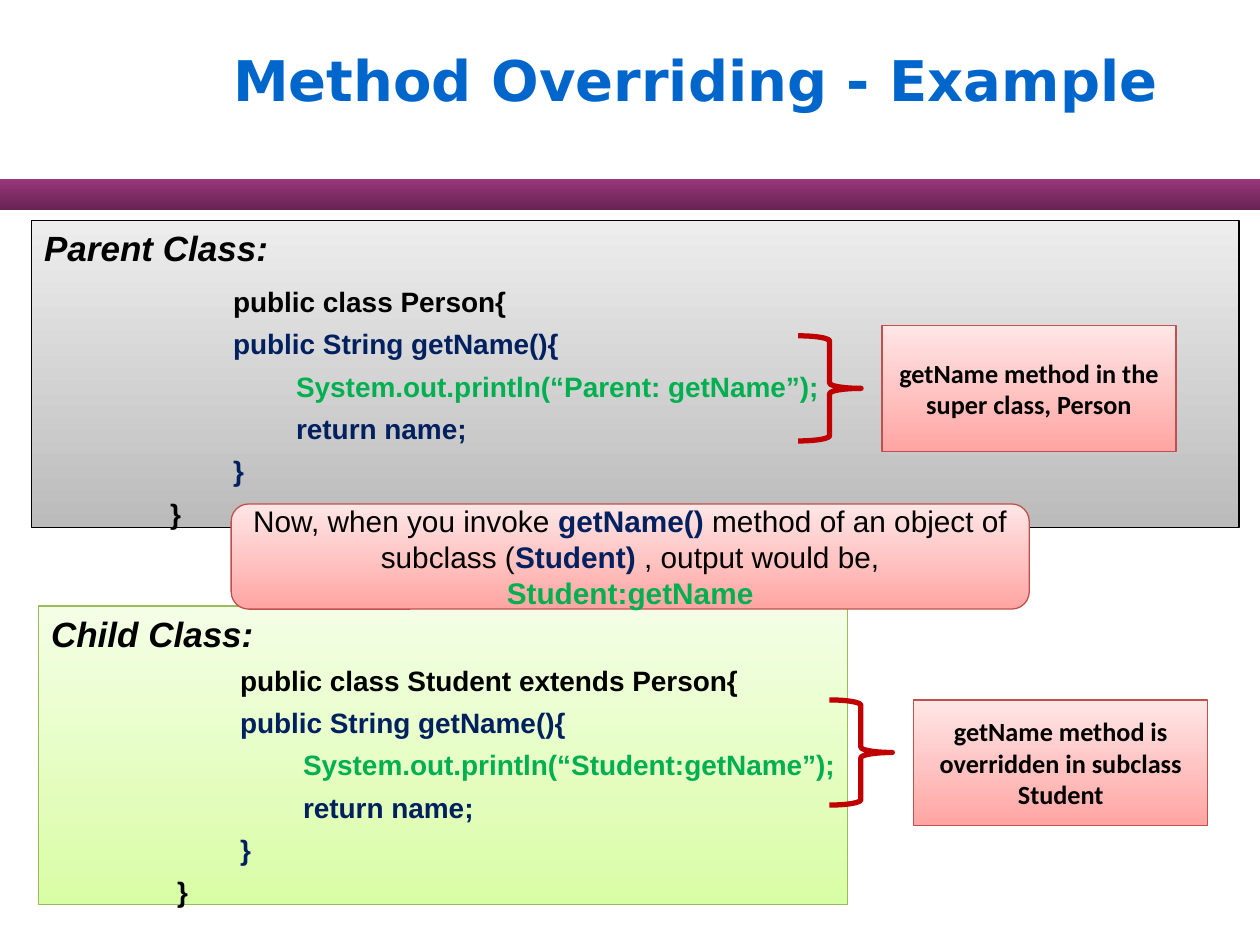
from pptx import Presentation
from pptx.dml.color import RGBColor
from pptx.enum.shapes import MSO_SHAPE
from pptx.enum.text import MSO_ANCHOR, PP_ALIGN
from pptx.util import Cm, Pt

RECT, ROUNDED, BRACE = (MSO_SHAPE.RECTANGLE, MSO_SHAPE.ROUNDED_RECTANGLE,
                        MSO_SHAPE.RIGHT_BRACE)
TOP, MIDDLE = MSO_ANCHOR.TOP, MSO_ANCHOR.MIDDLE
LEFT, CENTER = PP_ALIGN.LEFT, PP_ALIGN.CENTER

COLORS = {
    "black": "000000", "navy": "002060", "green": "00B050", "title": "0066CC",
    "brace": "C00000", "note line": "C0504D", "child line": "9BBB59",
}
# Bottom and top colour of each gradient
GRADIENTS = {
    "band": ("682252", "99387B"),
    "parent": ("BBBBBB", "EDEDED"),
    "child": ("D9FDA5", "F4FEE6"),
    "note": ("FFA5A3", "FFE6E6"),
}

# Boxes are left, top, width, height in cm
TITLE = ("Method Overriding - Example", (4.45, 0, 20.95, 3.18))
BAND = (0, 3.6, 25.4, 0.64)
CLASSES = [
    {"heading": "Child Class:", "declaration": "public class Student extends Person{",
     "output": "System.out.println(“Student:getName”);", "gap": 5, "wrap": False,
     "style": "child", "line": "child line", "box": (0.78, 12.22, 16.31, 6.02)},
    {"heading": "Parent Class:", "declaration": "public class Person{",
     "output": "System.out.println(“Parent: getName”);", "gap": 9, "wrap": True,
     "style": "parent", "line": "black", "box": (0.64, 4.45, 24.34, 6.19)},
]
NOTES = [
    ("getName method in the super class, Person",
     (17.78, 6.56, 5.93, 2.54), (16.09, 6.77)),
    ("getName method is overridden in subclass Student",
     (18.42, 14.11, 5.93, 2.54), (16.72, 14.11)),
]
BRACE_SIZE = (1.27, 2.12)
RESULT_BOX = (4.66, 10.16, 16.09, 2.12)
RESULT = [
    [("Now, when you invoke ", {}),
     ("getName() ", {"color": "navy", "bold": True}),
     ("method of an object of subclass (", {}),
     ("Student) ", {"color": "navy", "bold": True}),
     (", output would be,", {})],
    [("Student:getName", {"color": "green", "bold": True})],
]
INDENT = 1.27


def rgb(value):
    return RGBColor.from_string(value)


def add_shape(kind, box, gradient=None, line=None, line_width=0.75):
    shape = slide.shapes.add_shape(kind, *map(Cm, box))
    shape.shadow.inherit = False
    if gradient:
        shape.fill.gradient()
        shape.fill.gradient_angle = 90
        for stop, color, position in zip(shape.fill.gradient_stops,
                                         GRADIENTS[gradient], (0, 1)):
            stop.color.rgb = rgb(color)
            stop.position = position
    else:
        shape.fill.background()
    if line:
        shape.line.color.rgb = rgb(COLORS[line])
        shape.line.width = Pt(line_width)
    else:
        shape.line.fill.background()
    return shape


def set_frame(shape, anchor=MIDDLE, wrap=True):
    frame = shape.text_frame
    frame.word_wrap = wrap
    frame.vertical_anchor = anchor
    return frame


def write(frame, text, size=16, font="Arial", color="black", bold=False,
          italic=False, align=LEFT, level=0, before=0, new=True):
    """Write a run, in a new paragraph or at the end of the last one."""
    paragraph = frame.paragraphs[-1]
    if new:
        if paragraph.runs:
            paragraph = frame.add_paragraph()
        paragraph.alignment = align
        paragraph.space_before = Pt(before)
        if level:
            properties = paragraph._p.get_or_add_pPr()
            properties.set("marL", str(Cm(level * INDENT)))
            properties.set("indent", "0")
    run = paragraph.add_run()
    run.text = text
    run.font.name = font
    run.font.size = Pt(size)
    run.font.bold = bold
    run.font.italic = italic
    run.font.color.rgb = rgb(COLORS[color])


def add_class(item):
    shape = add_shape(RECT, item["box"], item["style"], item["line"])
    frame = set_frame(shape, TOP, item["wrap"])
    write(frame, item["heading"], size=20, bold=True, italic=True)
    code = [
        (item["declaration"], 3, "black", item["gap"]),
        ("public String getName(){", 3, "navy", 5),
        (item["output"], 4, "green", 5),
        ("return name;", 4, "navy", 5),
        ("}", 3, "navy", 5),
        ("}", 2, "black", 5),
    ]
    for text, level, color, before in code:
        write(frame, text, level=level, color=color, before=before, bold=True)


prs = Presentation()
prs.slide_width, prs.slide_height = Cm(25.4), Cm(19.05)
slide = prs.slides.add_slide(prs.slide_layouts[6])

add_shape(RECT, BAND, "band")

title_text, title_box = TITLE
title = slide.shapes.add_textbox(*map(Cm, title_box))
write(set_frame(title), title_text, size=32, font="DejaVu Sans",
      color="title", bold=True)

for item in CLASSES:
    add_class(item)

for text, box, brace_corner in NOTES:
    add_shape(BRACE, brace_corner + BRACE_SIZE, line="brace", line_width=3)
    note = add_shape(RECT, box, "note", "note line")
    write(set_frame(note), text, size=15, font="Calibri", bold=True, align=CENTER)

result = set_frame(add_shape(ROUNDED, RESULT_BOX, "note", "note line"))
for runs in RESULT:
    for index, (text, style) in enumerate(runs):
        write(result, text, size=17, align=CENTER, new=index == 0, **style)

prs.save("out.pptx")
